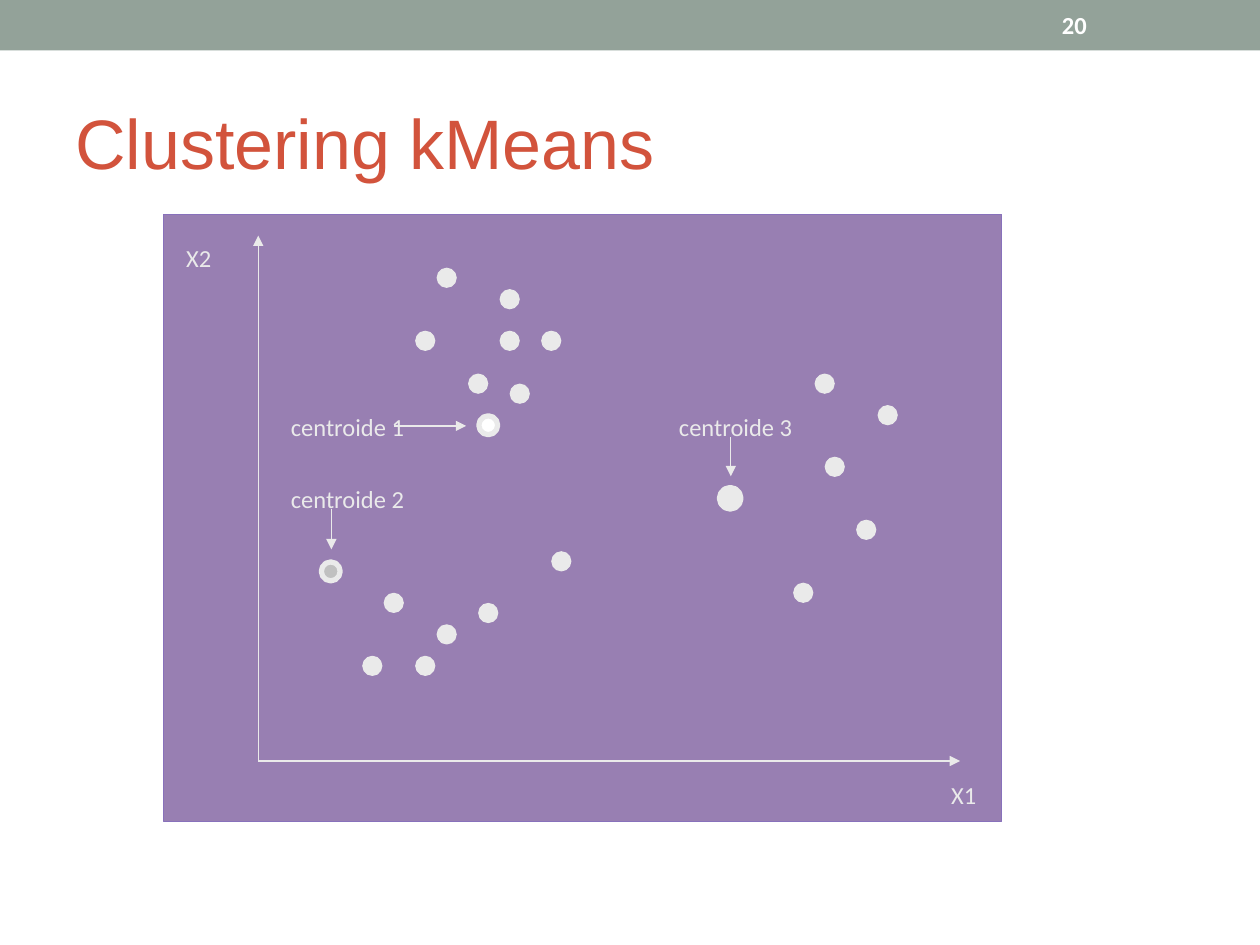
from dataclasses import dataclass

from lxml.etree import SubElement
from pptx import Presentation
from pptx.dml.color import RGBColor
from pptx.enum.shapes import MSO_CONNECTOR as Connector, MSO_SHAPE as Shape
from pptx.enum.text import MSO_ANCHOR as Anchor
from pptx.oxml.ns import qn
from pptx.util import Inches, Pt


@dataclass(frozen=True)
class Theme:
    banner: str = "93A299"
    title: str = "D2533C"
    panel: str = "330066"
    panel_edge: str = "8871BB"
    light: str = "EAEAEA"
    white: str = "FFFFFF"
    silver: str = "C0C0C0"
    title_font: str = "Arial"
    body_font: str = "Calibri"
    title_size: int = 40
    body_size: int = 14
    thin: float = 0.75


THEME = Theme()


@dataclass(frozen=True)
class Dot:
    left: float
    top: float
    fill: str = THEME.light
    edge: float = THEME.thin


@dataclass(frozen=True)
class Label:
    text: str
    left: float
    top: float
    width: float


@dataclass(frozen=True)
class Arrow:
    start: tuple[float, float]
    end: tuple[float, float]


DOT_SIZE = 0.15
LABEL_HEIGHT = 0.34
ORIGIN = (2.05, 6.04)

AXES = [Arrow(ORIGIN, (2.05, 1.87)), Arrow(ORIGIN, (7.62, 6.04))]

POINTS = [
    Dot(left, top)
    for left, top in [
        (3.47, 2.13), (3.3, 2.63), (3.97, 2.3), (3.97, 2.63),
        (3.72, 2.97), (4.05, 3.05), (4.3, 2.63),
        (3.05, 4.71), (2.88, 5.21), (3.3, 5.21), (3.47, 4.96),
        (3.8, 4.79), (4.38, 4.38),
        (6.47, 2.97), (6.97, 3.22), (6.55, 3.63), (6.8, 4.13), (6.3, 4.63),
    ]
]

CENTROIDS = [
    Dot(5.72, 3.88, edge=4.5),
    Dot(3.8, 3.3, THEME.white, 3),
    Dot(2.55, 4.46, THEME.silver, 3),
]

LABELS = [
    Label("centroide 1", 2.21, 3.22, 1.1),
    Label("centroide 2", 2.21, 3.79, 1.1),
    Label("centroide 3", 5.29, 3.22, 1.1),
    Label("X1", 7.45, 6.14, 0.4),
    Label("X2", 1.38, 1.88, 0.4),
]

POINTERS = [
    Arrow((3.13, 3.38), (3.7, 3.38)),
    Arrow((2.63, 4.04), (2.63, 4.36)),
    Arrow((5.8, 3.47), (5.8, 3.78)),
]


def add_filled(slide, kind, left: float, top: float, width: float, height: float,
               fill: str, edge: str | None = None, edge_width: float = THEME.thin):
    shape = slide.shapes.add_shape(
        kind, Inches(left), Inches(top), Inches(width), Inches(height))
    shape.shadow.inherit = False
    shape.fill.solid()
    shape.fill.fore_color.rgb = RGBColor.from_string(fill)
    if edge is None:
        shape.line.fill.background()
    else:
        shape.line.color.rgb = RGBColor.from_string(edge)
        shape.line.width = Pt(edge_width)
    return shape


def add_text(slide, text: str, left: float, top: float, width: float, height: float, *,
             font: str = THEME.body_font, size: int = THEME.body_size,
             color: str = THEME.light, bold: bool = False,
             anchor: Anchor = Anchor.TOP, wrap: bool = False) -> None:
    box = slide.shapes.add_textbox(
        Inches(left), Inches(top), Inches(width), Inches(height))
    frame = box.text_frame
    frame.word_wrap = wrap
    frame.vertical_anchor = anchor
    paragraph = frame.paragraphs[0]
    paragraph.text = text
    paragraph.font.name = font
    paragraph.font.size = Pt(size)
    paragraph.font.bold = bold
    paragraph.font.color.rgb = RGBColor.from_string(color)


def add_arrow(slide, arrow: Arrow) -> None:
    points = [Inches(value) for value in (*arrow.start, *arrow.end)]
    connector = slide.shapes.add_connector(Connector.STRAIGHT, *points)
    connector.line.color.rgb = RGBColor.from_string(THEME.light)
    connector.line.width = Pt(THEME.thin)
    SubElement(connector.line._get_or_add_ln(), qn("a:tailEnd"), type="triangle")
    SubElement(connector._element.spPr, qn("a:effectLst"))


def add_dot(slide, dot: Dot) -> None:
    add_filled(slide, Shape.OVAL, dot.left, dot.top, DOT_SIZE, DOT_SIZE,
               dot.fill, THEME.light, dot.edge)


def add_panel(slide) -> None:
    panel = add_filled(slide, Shape.RECTANGLE, 1.3, 1.7, 6.65, 4.82,
                       THEME.panel, THEME.panel_edge)
    color = panel._element.spPr.find(qn("a:solidFill")).find(qn("a:srgbClr"))
    SubElement(color, qn("a:alpha"), val="50000")


def main() -> None:
    presentation = Presentation()
    presentation.slide_width = Inches(10)
    presentation.slide_height = Inches(7.5)
    slide = presentation.slides.add_slide(presentation.slide_layouts[6])

    add_filled(slide, Shape.RECTANGLE, 0, 0, 10, 0.4, THEME.banner)
    add_text(slide, "Clustering kMeans", 0.5, 0.58, 9, 1.08, font=THEME.title_font,
             size=THEME.title_size, color=THEME.title, anchor=Anchor.MIDDLE, wrap=True)
    add_text(slide, "20", 8.33, 0.02, 1.17, 0.36, color=THEME.white, bold=True,
             anchor=Anchor.MIDDLE, wrap=True)

    add_panel(slide)
    for axis in AXES:
        add_arrow(slide, axis)
    for dot in POINTS + CENTROIDS:
        add_dot(slide, dot)
    for label in LABELS:
        add_text(slide, label.text, label.left, label.top, label.width, LABEL_HEIGHT)
    for pointer in POINTERS:
        add_arrow(slide, pointer)

    presentation.save("out.pptx")


if __name__ == "__main__":
    main()
